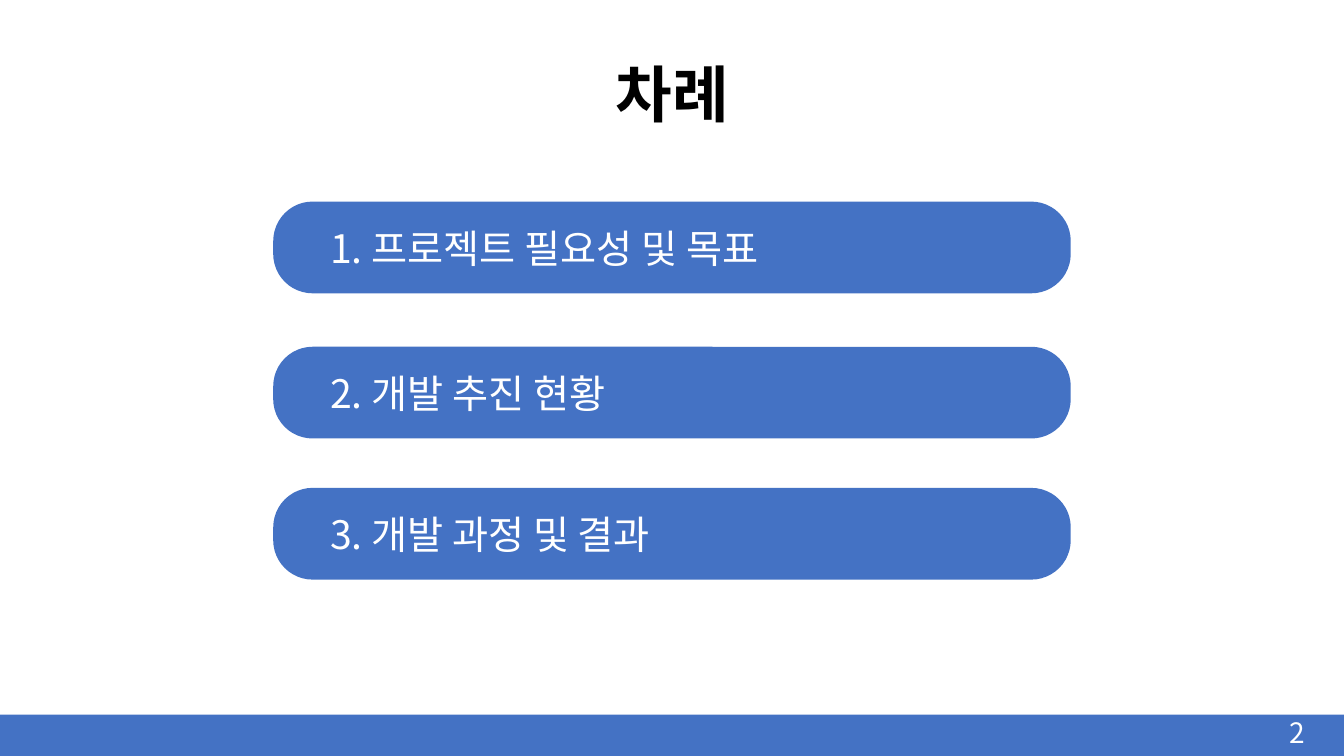
from lxml import etree
from pptx import Presentation
from pptx.dml.color import RGBColor
from pptx.enum import shapes, text
from pptx.oxml.ns import qn
from pptx.util import Inches, Pt

BLUE = RGBColor(0x44, 0x72, 0xC4)
WHITE = RGBColor(0xFF, 0xFF, 0xFF)
BLACK = RGBColor(0, 0, 0)
FONT = "Noto Sans CJK KR"


def write(sp, content, size, color=WHITE, bold=False,
          align=text.PP_ALIGN.LEFT, anchor=text.MSO_ANCHOR.MIDDLE):
    tf = sp.text_frame
    tf.word_wrap = True
    tf.auto_size = text.MSO_AUTO_SIZE.NONE
    tf.vertical_anchor = anchor
    p = tf.paragraphs[0]
    p.alignment = align
    r = p.add_run()
    r.text = content
    r.font.name = FONT
    r.font.size = Pt(size)
    r.font.bold = bold
    r.font.color.rgb = color
    etree.SubElement(r.font._element, qn("a:ea"), typeface=FONT)
    return p


def add_block(s, kind, left, top, width, height):
    sp = s.shapes.add_shape(kind, Inches(left), Inches(top), Inches(width), Inches(height))
    sp.shadow.inherit = False
    sp.fill.solid()
    sp.fill.fore_color.rgb = BLUE
    sp.line.fill.background()
    return sp


prs = Presentation()
prs.slide_width = Inches(13.33)
prs.slide_height = Inches(7.5)
s = prs.slides.add_slide(prs.slide_layouts[5])

title = s.shapes.title
title.left, title.top = Inches(1.67), Inches(0.31)
title.width, title.height = Inches(10), Inches(1.04)
p = write(title, "차례", 44, color=BLACK, bold=True,
          align=text.PP_ALIGN.CENTER, anchor=text.MSO_ANCHOR.BOTTOM)
p.line_spacing = 0.9

add_block(s, shapes.MSO_SHAPE.RECTANGLE, 0, 7.09, 13.33, 0.41)
number = s.shapes.add_textbox(Inches(12.36), Inches(7.09), Inches(0.68), Inches(0.35))
write(number, "2", 20, align=text.PP_ALIGN.RIGHT)

chapters = [
    (2, "1. 프로젝트 필요성 및 목표"),
    (3.44, "2. 개발 추진 현황"),
    (4.84, "3. 개발 과정 및 결과"),
]
for top, chapter in chapters:
    sp = add_block(s, shapes.MSO_SHAPE.ROUNDED_RECTANGLE, 2.71, top, 7.91, 0.91)
    sp.adjustments[0] = 0.43
    sp.text_frame.margin_left = Inches(0.45)
    write(sp, chapter, 28)

prs.save("out.pptx")
